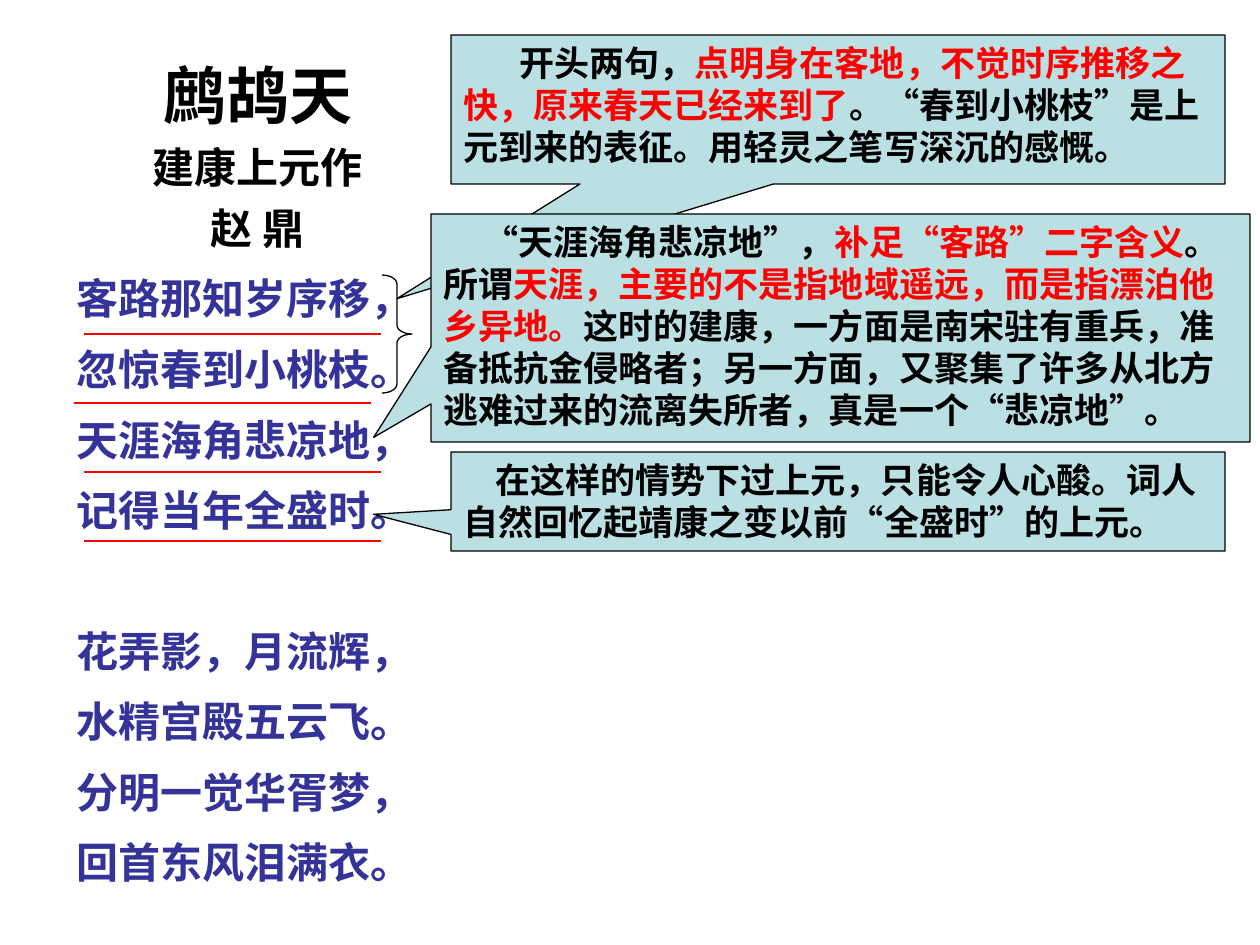
import pptx
import pptx.dml.color
import pptx.enum.shapes
import pptx.enum.text
import pptx.oxml.ns
import pptx.util
from lxml import etree

PX = pptx.util.Inches(1) // 126
SHAPE = pptx.enum.shapes.MSO_SHAPE
ALIGN = pptx.enum.text.PP_ALIGN
COLORS = {"ink": "000000", "verse": "333399", "key": "FF0000", "note": "BBE0E3"}

TITLES = [("鹧鸪天", 36), ("建康上元作", 24), ("赵 鼎", 24)]
STANZAS = [
    ["客路那知岁序移，", "忽惊春到小桃枝。", "天涯海角悲凉地，", "记得当年全盛时。"],
    ["花弄影，月流辉，", "水精宫殿五云飞。", "分明一觉华胥梦，", "回首东风泪满衣。"],
]
OPENING_NOTE = [
    ("开头两句，", "ink"),
    ("点明身在客地，不觉时序推移之快，原来春天已经来到了", "key"),
    ("。“春到小桃枝”是上元到来的表征。用轻灵之笔写深沉的感慨。", "ink"),
]
DESOLATION_NOTE = [
    ("“天涯海角悲凉地”，", "ink"),
    ("补足“客路”二字含义", "key"),
    ("。所谓", "ink"),
    ("天涯，主要的不是指地域遥远，而是指漂泊他乡异地。", "key"),
    ("这时的建康，一方面是南宋驻有重兵，准备抵抗金侵略者；另一方面，"
     "又聚集了许多从北方逃难过来的流离失所者，真是一个“悲凉地”。", "ink"),
]
MEMORY_NOTE = [
    ("在这样的情势下过上元，只能令人心酸。词人自然回忆起靖康之变以前“全盛时”的上元。", "ink"),
]


def px(*lengths):
    return [length * PX for length in lengths]


def rgb(name):
    return pptx.dml.color.RGBColor.from_string(COLORS[name])


def add_run(paragraph, text, *, size, color="ink"):
    run = paragraph.add_run()
    run.text = text
    run.font.name = "Arial"
    run.font.size = pptx.util.Pt(size)
    run.font.bold = True
    run.font.color.rgb = rgb(color)


def set_outline(line, color):
    line.color.rgb = rgb(color)
    line.width = pptx.util.Pt(0.75)


def next_paragraph(frame):
    """Return the empty first paragraph of a frame, or a new one after its text."""
    first = frame.paragraphs[0]
    return frame.add_paragraph() if first.runs else first


def add_poem(slide):
    frame = slide.shapes.add_textbox(*px(64, 35, 387, 859)).text_frame
    frame.word_wrap = True
    frame.auto_size = pptx.enum.text.MSO_AUTO_SIZE.SHAPE_TO_FIT_TEXT
    for text, size in TITLES:
        paragraph = next_paragraph(frame)
        paragraph.alignment = ALIGN.CENTER
        paragraph.line_spacing = 1.2
        add_run(paragraph, text, size=size)
    for stanza_index, stanza in enumerate(STANZAS):
        for verse_index, verse in enumerate(stanza):
            paragraph = next_paragraph(frame)
            paragraph.line_spacing = 1.4
            if stanza_index and not verse_index:
                paragraph.space_before = pptx.util.Pt(40)
            add_run(paragraph, verse, size=24, color="verse")


def add_callout(slide, box, pointer, indent, note):
    """Add a note whose pointer tip is given as fractions of its size from its centre."""
    shape = slide.shapes.add_shape(SHAPE.RECTANGULAR_CALLOUT, *px(*box))
    shape.shadow.inherit = False
    shape.adjustments[0], shape.adjustments[1] = pointer
    shape.fill.solid()
    shape.fill.fore_color.rgb = rgb("note")
    set_outline(shape.line, "ink")
    frame = shape.text_frame
    frame.word_wrap = True
    frame.vertical_anchor = pptx.enum.text.MSO_ANCHOR.TOP
    paragraph = frame.paragraphs[0]
    paragraph.alignment = ALIGN.LEFT
    paragraph._p.get_or_add_pPr().set("indent", str(indent * PX))
    for text, color in note:
        add_run(paragraph, text, size=20, color=color)


def add_underline(slide, left, top):
    line = slide.shapes.add_connector(
        pptx.enum.shapes.MSO_CONNECTOR.STRAIGHT, *px(left, top, left + 297, top))
    set_outline(line.line, "key")
    etree.SubElement(line._element.spPr, pptx.oxml.ns.qn("a:effectLst"))


def add_brace(slide):
    brace = slide.shapes.add_shape(SHAPE.RIGHT_BRACE, *px(382, 275, 30, 118))
    brace.shadow.inherit = False
    brace.adjustments[0] = 0.3
    brace.fill.background()
    set_outline(brace.line, "ink")


def main():
    presentation = pptx.Presentation()
    presentation.slide_width, presentation.slide_height = px(1260, 945)
    slide = presentation.slides.add_slide(presentation.slide_layouts[6])
    add_poem(slide)
    add_callout(slide, (451, 35, 774, 149), (-0.57, 1.27), 56, OPENING_NOTE)
    add_callout(slide, (431, 214, 819, 228), (-0.57, 0.48), 40, DESOLATION_NOTE)
    for index, left in enumerate([84, 74, 84, 84]):
        add_underline(slide, left, 334 + 69 * index)
    add_brace(slide)
    add_callout(slide, (451, 452, 774, 99), (-0.6, 0.13), 32, MEMORY_NOTE)
    presentation.save("out.pptx")


if __name__ == "__main__":
    main()
